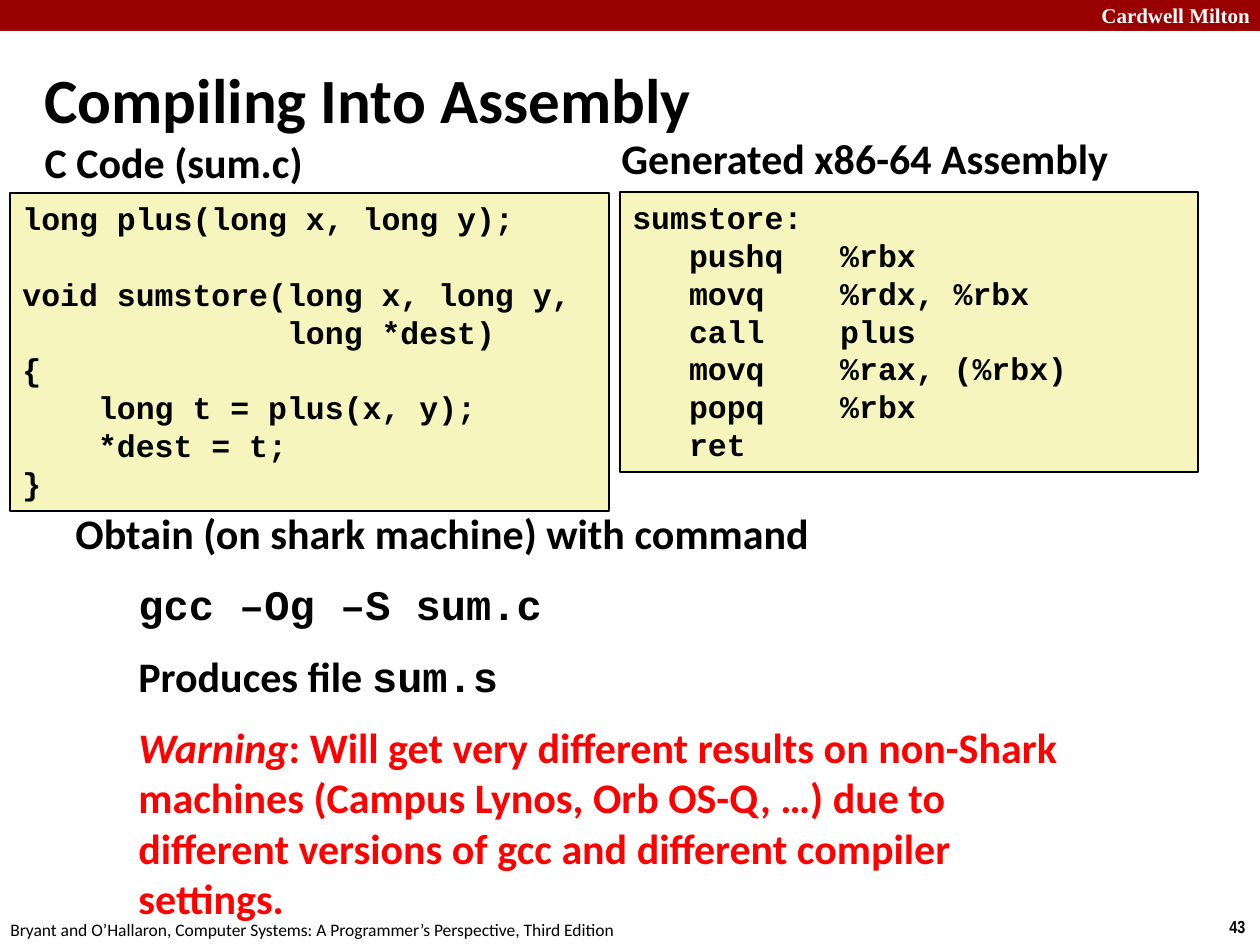
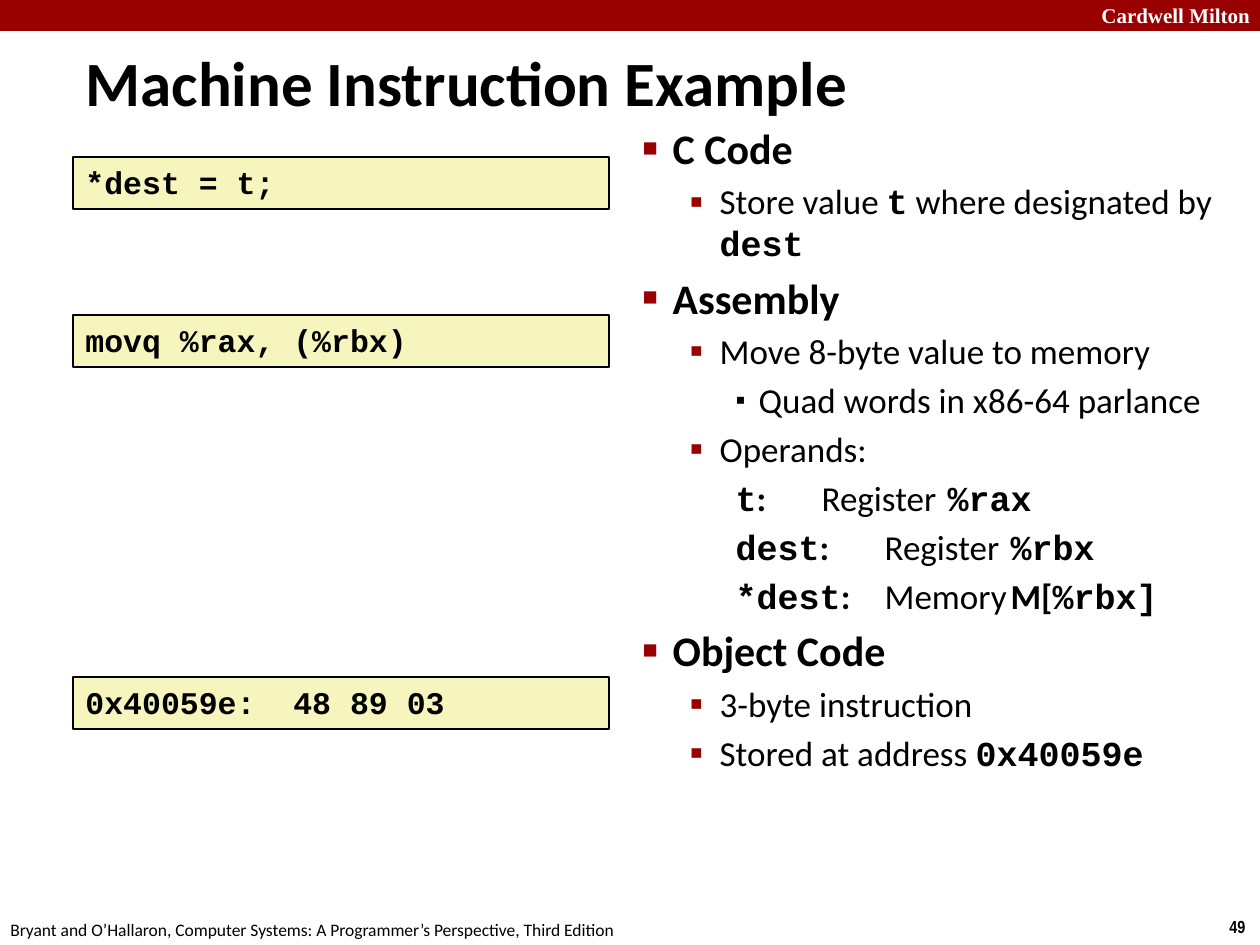
from lxml import etree
from pptx import Presentation
from pptx.dml.color import RGBColor
from pptx.enum.shapes import MSO_SHAPE
from pptx.enum.text import MSO_ANCHOR, MSO_AUTO_SIZE, PP_ALIGN
from pptx.oxml.ns import qn
from pptx.util import Emu, Pt

RECT = MSO_SHAPE.RECTANGLE
LEFT = PP_ALIGN.LEFT
TOP, MIDDLE = MSO_ANCHOR.TOP, MSO_ANCHOR.MIDDLE
NO_FIT = MSO_AUTO_SIZE.NONE

SCALE = 914400 / 126
WIDE, HIGH = 1260, 945
RED, CREAM, BLACK, WHITE, ALERT = "990000", "F6F5BD", "000000", "FFFFFF", "FF0000"
SANS, MONO = "Calibri", "Courier New"


def font(size, name=SANS, bold=False, hue=BLACK, italic=False):
    return {"size": Pt(size), "name": name, "bold": bold, "italic": italic, "hue": hue}


FONTS = {
    "title": font(36, bold=True),
    "head": font(24, bold=True),
    "cmd": font(24, MONO, True),
    "warn": font(24, bold=True, hue=ALERT),
    "alert": font(24, bold=True, hue=ALERT, italic=True),
    "text": font(20),
    "bold": font(20, bold=True),
    "mono": font(20, MONO, True),
    "code": font(18, MONO, True),
    "org": font(12, "Times New Roman", True, WHITE),
    "page": font(10, "Arial Narrow", True),
    "foot": font(10),
}

# Paragraph kinds: left margin and first-line indent in px, space before in pt
TABS = (220, 346)
PARAS = {
    "plain": {},
    "title": {"margin": 16, "indent": -16},
    "label": {"margin": 48, "indent": -48},
    "lead": {"gap": 12},
    "step": {"margin": 63, "gap": 12},
    "topic": {"margin": 30, "indent": -30, "gap": 4.8,
              "mark": "■", "ratio": 60, "hue": RED, "tabs": TABS},
    "point": {"margin": 77, "indent": -30, "gap": 4,
              "mark": "▪", "ratio": 110, "hue": RED, "tabs": TABS},
    "detail": {"margin": 116, "indent": -23, "gap": 4,
               "mark": "▪", "ratio": 80, "hue": BLACK, "tabs": TABS},
    "pair": {"margin": 116, "indent": -23, "gap": 4, "tabs": TABS},
}
LEVELS = {"step": 1, "point": 1, "detail": 2, "pair": 2}


def px(n):
    return Emu(round(n * SCALE))


def rgb(code):
    return RGBColor.from_string(code)


def node(parent, tag, **attrs):
    item = etree.SubElement(parent, qn("a:" + tag))
    for key, value in attrs.items():
        item.set(key, str(value))
    return item


class Deck:
    def __init__(self):
        self.prs = Presentation()
        self.prs.slide_width, self.prs.slide_height = px(WIDE), px(HIGH)
        self.slide = None

    def start(self, page, title, box):
        """Add a slide with its band, footer, page number and title."""
        self.slide = self.prs.slides.add_slide(self.prs.slide_layouts[1])
        self.rect((0, 0, WIDE, 31), RED)
        self.note((1089, -4, 180, 38), [("plain", [("org", "Cardwell Milton")])])
        self.note((1217, 910, 43, 34), [("plain", [("page", page)])], wrap=False)
        self.note((-2, 913, 640, 34), [("plain", [(
            "foot", "Bryant and O’Hallaron, Computer Systems: "
            "A Programmer’s Perspective, Third Edition")])], wrap=False)
        self.hold(0, box, [("title", [("title", title)])], MIDDLE)

    def hold(self, idx, box, paras, anchor=TOP):
        """Move and fill a placeholder of the layout."""
        shape = self.slide.placeholders[idx]
        shape.left, shape.top, shape.width, shape.height = map(px, box)
        self.fill(shape.text_frame, paras, anchor)

    def note(self, box, paras, wrap=True):
        shape = self.slide.shapes.add_textbox(*map(px, box))
        self.fill(shape.text_frame, paras, wrap=wrap)

    def rect(self, box, hue, line=None):
        shape = self.slide.shapes.add_shape(RECT, *map(px, box))
        shape.shadow.inherit = False
        shape.fill.solid()
        shape.fill.fore_color.rgb = rgb(hue)
        if line:
            shape.line.color.rgb = rgb(line)
            shape.line.width = Pt(1)
        else:
            shape.line.fill.background()
        return shape

    def code(self, box, text):
        shape = self.rect(box, CREAM, BLACK)
        lines = [("plain", [("code", line)] if line else [])
                 for line in text.split("\n")]
        self.fill(shape.text_frame, lines)

    def fill(self, frame, paras, anchor=TOP, wrap=True):
        look = {"word_wrap": wrap, "auto_size": NO_FIT, "vertical_anchor": anchor}
        for key, value in look.items():
            setattr(frame, key, value)
        for i, (kind, runs) in enumerate(paras):
            para = frame.add_paragraph() if i else frame.paragraphs[0]
            self.shape_para(para, kind)
            for style, text in runs:
                self.run(para, style, text)
            if not runs:
                end = para._p.get_or_add_endParaRPr()
                end.set("sz", "1800")
                node(end, "latin", typeface=MONO)

    def shape_para(self, para, kind):
        """Set indents, spacing, bullet and tabs of a paragraph."""
        form = PARAS[kind]
        look = {"alignment": LEFT, "level": LEVELS.get(kind, 0),
                "space_before": Pt(form.get("gap", 0))}
        for key, value in look.items():
            setattr(para, key, value)
        props = para._p.get_or_add_pPr()
        props.set("marL", str(px(form.get("margin", 0))))
        props.set("indent", str(px(form.get("indent", 0))))
        if "mark" in form:
            node(node(props, "buClr"), "srgbClr", val=form["hue"])
            node(props, "buSzPct", val=form["ratio"] * 1000)
            node(props, "buChar", char=form["mark"])
        else:
            node(props, "buNone")
        if "tabs" in form:
            stops = node(props, "tabLst")
            for stop in form["tabs"]:
                node(stops, "tab", pos=px(stop), algn="l")

    def run(self, para, style, text):
        run = para.add_run()
        run.text = text
        for key, value in FONTS[style].items():
            if key == "hue":
                run.font.color.rgb = rgb(value)
            else:
                setattr(run.font, key, value)


C_CODE = """long plus(long x, long y);

void sumstore(long x, long y,
              long *dest)
{
    long t = plus(x, y);
    *dest = t;
}"""

ASM = """sumstore:
   pushq   %rbx
   movq    %rdx, %rbx
   call    plus
   movq    %rax, (%rbx)
   popq    %rbx
   ret"""

STEPS = [
    ("lead", [("head", "Obtain (on shark machine) with command")]),
    ("step", [("cmd", "gcc –Og –S sum.c")]),
    ("step", [("head", "Produces file "), ("cmd", "sum.s")]),
    ("step", [("alert", "Warning"),
              ("warn", ": Will get very different results on non-Shark machines "
                       "(Campus Lynos, Orb OS-Q, …) due to different versions of "
                       "gcc and different compiler settings.")]),
]

FACTS = [
    ("topic", [("head", "C Code")]),
    ("point", [("text", "Store value "), ("mono", "t"),
               ("text", " where designated by "), ("mono", "dest")]),
    ("topic", [("head", "Assembly")]),
    ("point", [("text", "Move 8-byte value to memory")]),
    ("detail", [("text", "Quad words in x86-64 parlance")]),
    ("point", [("text", "Operands:")]),
    ("pair", [("mono", "t"), ("bold", ":\t"), ("text", "Register\t"),
              ("mono", "%rax")]),
    ("pair", [("mono", "dest"), ("bold", ":"), ("text", "\tRegister\t"),
              ("mono", "%rbx")]),
    ("pair", [("mono", "*dest"), ("bold", ":"), ("text", " \tMemory\t"),
              ("bold", "M["), ("mono", "%rbx]")]),
    ("topic", [("head", "Object Code")]),
    ("point", [("text", "3-byte instruction")]),
    ("point", [("text", "Stored at address "), ("mono", "0x40059e")]),
]

SAMPLES = [(157, "*dest = t;"), (315, "movq %rax, (%rbx)"),
           (677, "0x40059e:  48 89 03")]


def main():
    deck = Deck()

    deck.start("43", "Compiling Into Assembly", (32, 60, 944, 77))
    deck.hold(1, (32, 130, 336, 50), [("label", [("head", "C Code (sum.c)")])])
    deck.code((10, 193, 599, 318), C_CODE)
    deck.note((609, 126, 567, 57),
              [("plain", [("head", "Generated x86-64 Assembly")])])
    deck.code((620, 192, 578, 280), ASM)
    deck.note((63, 501, 1029, 470), STEPS)

    deck.start("49", "Machine Instruction Example", (73, 42, 1000, 79))
    deck.hold(1, (630, 116, 630, 798), FACTS)
    for top, text in SAMPLES:
        deck.code((73, top, 536, 52), text)

    deck.prs.save("out.pptx")


if __name__ == "__main__":
    main()
